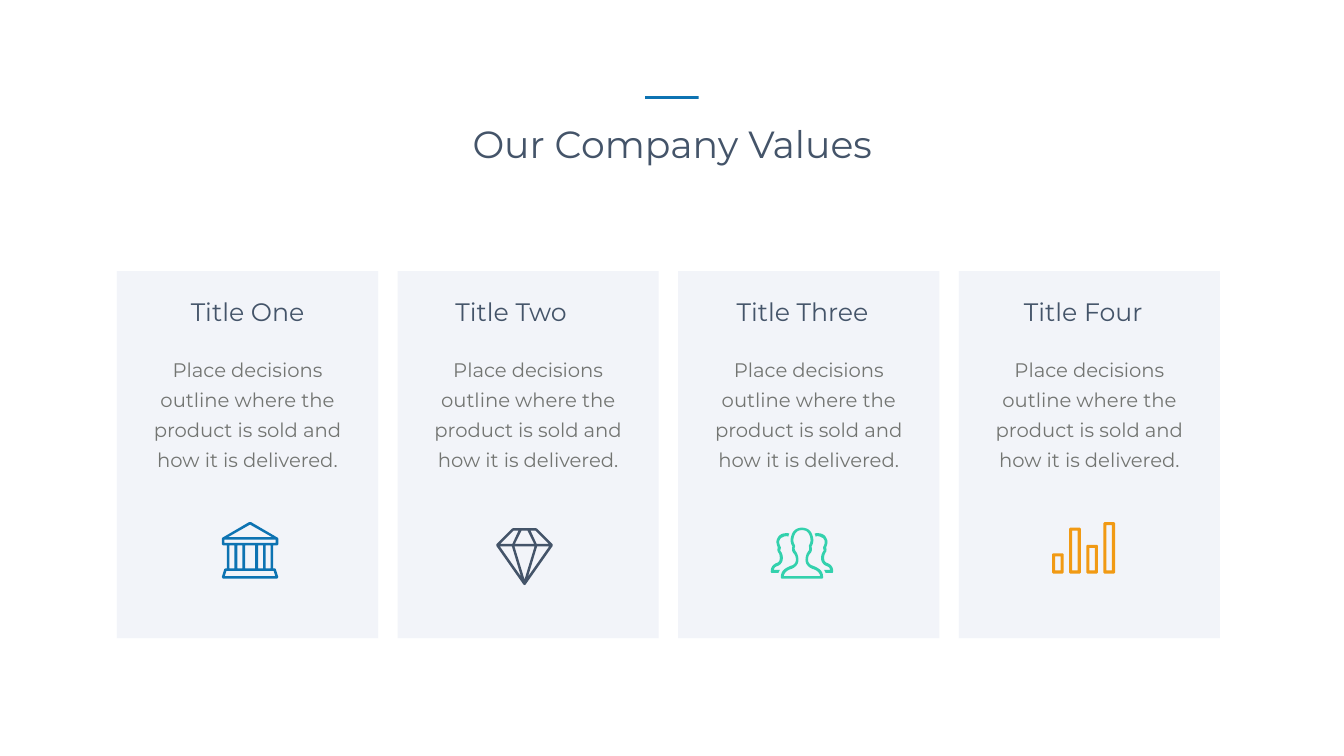
from lxml import etree
from pptx import Presentation
from pptx import util as u
from pptx.dml.color import RGBColor
from pptx.enum import shapes, text
from pptx.oxml.ns import qn

BLUE, NAVY, GREEN, ORANGE = "0D73B2", "445469", "33D1AD", "F19A14"
CARD, GREY = "EFF1F8", "737572"
BODY = "Place decisions outline where the product is sold and how it is delivered."

CARD_LEFT, CARD_TOP, CARD_WIDTH, CARD_HEIGHT, CARD_STEP = 5.89, 13.67, 13.16, 18.49, 14.14
ICON_TOP = 25.4


def color(hex_code):
    return RGBColor.from_string(hex_code)


# Icon outlines are lists of points, in hundredths of an inch.
def box(left, top, right, bottom):
    return [(left, top), (right, top), (right, bottom), (left, bottom)]


def rounded_box(left, top, right, bottom, cut=2):
    return [(left + cut, top), (right - cut, top), (right, top + cut), (right, bottom - cut),
            (right - cut, bottom), (left + cut, bottom), (left, bottom - cut), (left, top + cut)]


def flip(points):
    return [(-x, y) for x, y in points]


def symmetric(right_half):
    """Close a right half, listed from top to bottom, with its mirror image."""
    return right_half + flip(right_half)[::-1]


def curve(start, *segments, steps=8):
    """Turn lines (x, y) and cubic curves (x1, y1, x2, y2, x, y) into points."""
    points = [start]
    for segment in segments:
        if len(segment) == 2:
            points.append(segment)
            continue
        x0, y0 = points[-1]
        x1, y1, x2, y2, x3, y3 = segment
        for step in range(1, steps + 1):
            t = step / steps
            a, b, c, d = (1 - t) ** 3, 3 * t * (1 - t) ** 2, 3 * t * t * (1 - t), t ** 3
            points.append((a * x0 + b * x1 + c * x2 + d * x3,
                           a * y0 + b * y1 + c * y2 + d * y3))
    return points


def bank_icon():
    outer = [(0, 36), (2, 36), (55, 67), (56, 69), (56, 80), (54, 82), (46, 82), (46, 128),
             (49, 128), (51, 129), (56, 145), (54, 148)]
    roof = [(0, 41), (44, 66)]
    base = [(47, 133), (50, 143)]
    columns = [box(left, 82, right, 128)
               for left, right in ((-41, -31), (-25, -15), (-10, 10), (16, 26), (31, 41))]
    return [symmetric(outer), symmetric(roof), box(-51, 71, 51, 77), symmetric(base), *columns]


def diamond_icon():
    outer = [(23, 48), (25, 49), (56, 80), (56, 83), (2, 160), (0, 161)]
    crown = [(12, 53), (22, 53), (48, 79), (24, 79)]
    pavilion = [(25, 84), (49, 84), (7, 144)]
    return [symmetric(outer), symmetric([(6, 53), (19, 79)]), symmetric([(20, 84), (0, 150)]),
            crown, flip(crown), pavilion, flip(pavilion)]


def people_icon():
    outer = curve((0, 47), (8, 47, 17, 51, 20, 60), (24, 70, 23, 78, 19, 84),
                  (21, 93, 18, 96, 18, 96), (17, 98, 12, 101, 12, 111),
                  (12, 121, 23, 123, 23, 123), (29, 126, 42, 130, 42, 145),
                  (42, 145, 42, 148, 40, 148))
    inner = curve((0, 52), (8, 52, 12, 55, 15, 62), (19, 72, 16, 78, 15, 80),
                  (14, 82, 13, 83, 14, 85), (15, 90, 14, 92, 13, 93),
                  (11, 96, 7, 101, 7, 111), (7, 122, 16, 127, 21, 129),
                  (28, 131, 35, 135, 36, 143))
    neighbour = curve((50, 117), (50, 117, 44, 116, 44, 108), (44, 100, 46, 98, 47, 96),
                      (47, 96, 50, 94, 48, 86), (49, 83, 52, 77, 50, 71),
                      (47, 64, 45, 62, 41, 60), (39, 59, 35, 58, 31, 58),
                      (29, 58, 27, 58, 25, 59), (26, 61, 27, 63, 27, 65),
                      (28, 64, 30, 64, 31, 64), (34, 64, 37, 65, 38, 66),
                      (41, 67, 42, 67, 45, 73), (46, 77, 44, 81, 43, 84),
                      (42, 85, 42, 87, 42, 88), (43, 91, 43, 92, 43, 93),
                      (41, 95, 38, 99, 38, 108), (38, 117, 45, 122, 48, 123),
                      (52, 124, 55, 126, 56, 131), (44, 131), (45, 133, 46, 135, 47, 137),
                      (59, 137), (62, 137, 62, 134, 62, 134), (62, 123, 55, 119, 50, 117))
    return [symmetric(outer), symmetric(inner), neighbour, flip(neighbour)]


def bars_icon():
    outlines = []
    for index, top in enumerate((98, 47, 81, 36)):
        left = 34 * index
        outlines += [rounded_box(left, top, left + 23, 138),
                     box(left + 6, top + 6, left + 17, 132)]
    return outlines


class Deck:
    """Holds the font and the current slide; positions are in centimetres."""

    font = "Montserrat"

    def __init__(self, width, height):
        self.prs = Presentation()
        self.prs.slide_width, self.prs.slide_height = u.Cm(width), u.Cm(height)
        self.slide = self.prs.slides.add_slide(self.prs.slide_layouts[6])

    def paint(self, shape, fill, opacity=None):
        shape.shadow.inherit = False
        shape.fill.solid()
        shape.fill.fore_color.rgb = color(fill)
        shape.line.fill.background()
        if opacity is not None:
            srgb = shape.element.spPr.find(".//" + qn("a:srgbClr"))
            etree.SubElement(srgb, qn("a:alpha")).set("val", str(opacity * 1000))

    def rect(self, left, top, width, height, fill, opacity=None):
        panel = self.slide.shapes.add_shape(
            shapes.MSO_SHAPE.RECTANGLE, *map(u.Cm, (left, top, width, height)))
        self.paint(panel, fill, opacity)

    def label(self, words, left, top, width, height, *, size, fill=NAVY, wrap=True, leading=None):
        frame = self.slide.shapes.add_textbox(*map(u.Cm, (left, top, width, height))).text_frame
        frame.word_wrap = wrap
        frame.auto_size = text.MSO_AUTO_SIZE.SHAPE_TO_FIT_TEXT
        paragraph = frame.paragraphs[0]
        paragraph.alignment = text.PP_ALIGN.CENTER
        if leading:
            paragraph.line_spacing = u.Pt(leading)
        run = paragraph.add_run()
        run.text = words
        run.font.name, run.font.size = self.font, u.Pt(size)
        run.font.color.rgb = color(fill)

    def icon(self, outlines, left, top, fill):
        """Draw all outlines as one shape; inner outlines become holes."""
        scaled = [[(10 * x, 10 * y) for x, y in outline] for outline in outlines]
        builder = self.slide.shapes.build_freeform(*scaled[0][0], scale=u.Cm(0.00254))
        for index, outline in enumerate(scaled):
            if index:
                builder.move_to(*outline[0])
            builder.add_line_segments(outline[1:], close=True)
        self.paint(builder.convert_to_shape(u.Cm(left), u.Cm(top)), fill)


def main():
    deck = Deck(67.72, 38.1)
    deck.label("Our Company Values", 23.37, 5.94, 21, 2.57, size=54, wrap=False)
    deck.rect(32.51, 4.85, 2.69, 0.13, BLUE)

    # title, title left, title width, icon outlines, icon origin, icon colour
    values = [
        ("Title One", 7.75, 9.45, bank_icon(), 12.6, BLUE),
        ("Title Two", 21.03, 9.45, diamond_icon(), 26.43, NAVY),
        ("Title Three", 35.15, 10.57, people_icon(), 40.41, GREEN),
        ("Title Four", 49.4, 10.36, bars_icon(), 53.01, ORANGE),
    ]
    for index, (title, title_left, title_width, outlines, origin, accent) in enumerate(values):
        left = CARD_LEFT + index * CARD_STEP
        deck.rect(left, CARD_TOP, CARD_WIDTH, CARD_HEIGHT, CARD, opacity=78)
        deck.label(BODY, left + 1.4, 17.58, 10.36, 6.25, size=28, fill=GREY, leading=43)
        deck.label(title, title_left, 14.83, title_width, 1.8, size=36)
        deck.icon(outlines, origin, ICON_TOP, accent)

    deck.prs.save("out.pptx")


if __name__ == "__main__":
    main()
